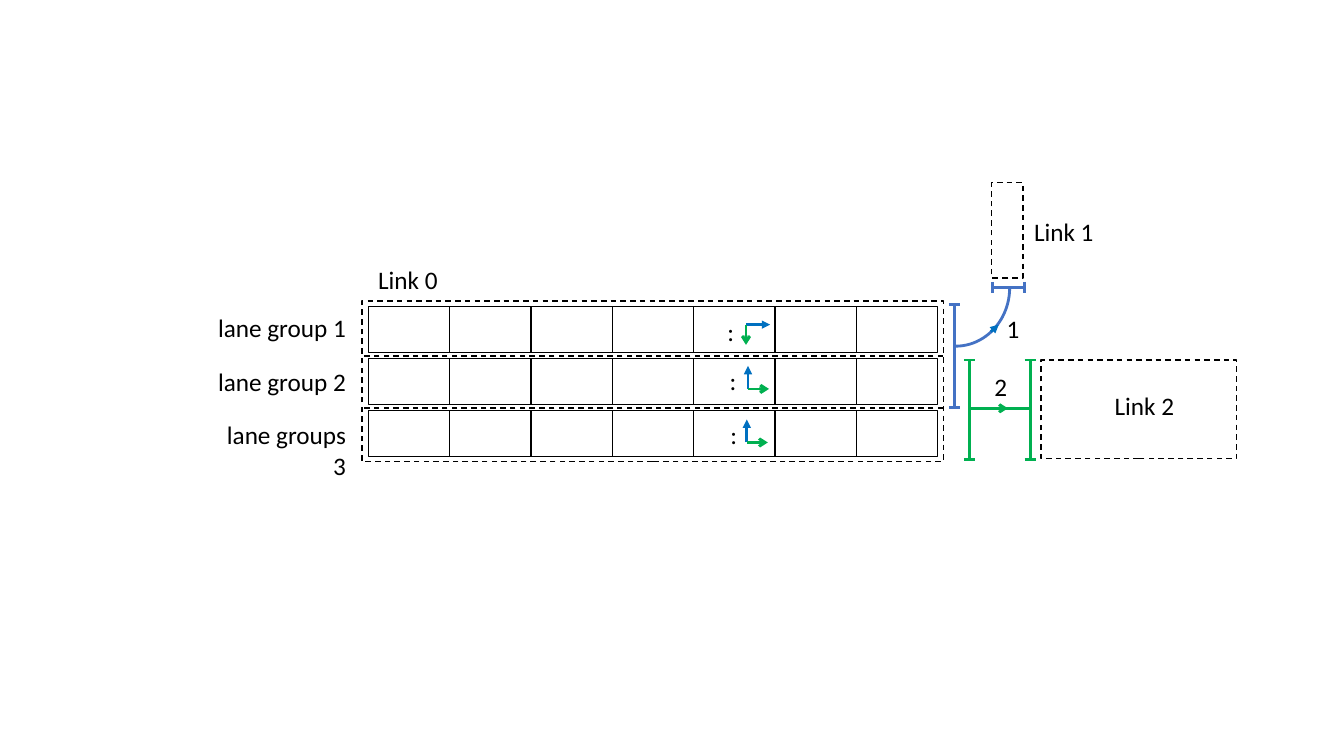
from lxml import etree
from pptx import Presentation
from pptx import util as u
from pptx.dml import color
from pptx.enum import dml, shapes, text
from pptx.oxml import ns

BLACK, BLUE, GREEN, ROAD_BLUE = "000000", "0070C0", "00B050", "4472C4"
DASH = dml.MSO_LINE.DASH
LABEL_FRAME = {"word_wrap": False, "auto_size": text.MSO_AUTO_SIZE.SHAPE_TO_FIT_TEXT}
LABEL_FONT = {"name": "Calibri", "size": u.Pt(18)}

LANE_LEFT, LANE_TOP, CELL_WIDTH, CELL_HEIGHT = 9.28, 7.72, 2.05, 1.17
LANE_PITCH, CELLS = 1.31, 7
LABEL_TOP, LABEL_PITCH = 7.75, 1.35
CAP = 0.14  # half the length of a bracket's end bar


def apply(target, values):
    for name, value in values.items():
        setattr(target, name, value)


def paint(fill, hex_colour):
    """Give a fill or a font's fill a solid colour."""
    fill.solid()
    fill.fore_color.rgb = color.RGBColor.from_string(hex_colour)


def style_line(line, hex_colour, points, dash=None):
    paint(line.fill, hex_colour)
    apply(line, {"width": u.Pt(points), "dash_style": dash})


def add_outline(slide, left, top, width, height, dash=None, colour=BLACK,
                points=1, kind=shapes.MSO_SHAPE.RECTANGLE):
    outline = slide.shapes.add_shape(kind, u.Cm(left), u.Cm(top), u.Cm(width), u.Cm(height))
    outline.shadow.inherit = False
    outline.fill.background()
    style_line(outline.line, colour, points, dash)
    return outline


def add_line(slide, start, end, colour, points=2, dash=None, head=None):
    ends = [u.Cm(value) for value in (*start, *end)]
    line = slide.shapes.add_connector(shapes.MSO_CONNECTOR.STRAIGHT, *ends)
    style_line(line.line, colour, points, dash)
    properties = line._element.spPr
    if head:
        etree.SubElement(properties.find(ns.qn("a:ln")), ns.qn("a:tailEnd"), type=head)
    etree.SubElement(properties, ns.qn("a:effectLst"))


def add_label(slide, wording, left, top, width, align=text.PP_ALIGN.RIGHT):
    label = slide.shapes.add_textbox(u.Cm(left), u.Cm(top), u.Cm(width), u.Cm(1.02))
    apply(label.text_frame, LABEL_FRAME)
    paragraph = label.text_frame.paragraphs[0]
    paragraph.alignment = align
    run = paragraph.add_run()
    run.text = wording
    apply(run.font, LABEL_FONT)
    paint(run.font.fill, BLACK)


def add_bracket(slide, start, end, colour):
    """Draw a straight bar with a short cap across each end."""
    add_line(slide, start, end, colour)
    upright = start[0] == end[0]
    dx, dy = (CAP, 0) if upright else (0, CAP)
    for x, y in (start, end):
        add_line(slide, (x - dx, y - dy), (x + dx, y + dy), colour)


def add_lanes(slide):
    # Dashed borders between lane groups
    for row in range(2):
        y = 8.97 + row * LANE_PITCH
        add_line(slide, (23.77, y), (9.17, y), BLACK, 1, DASH)

    # Cells and names of the lane groups
    for row, name in enumerate(("lane group 1", "lane group 2", "lane groups 3")):
        for cell in range(CELLS):
            add_outline(slide, LANE_LEFT + cell * CELL_WIDTH, LANE_TOP + row * LANE_PITCH,
                        CELL_WIDTH, CELL_HEIGHT)
        add_label(slide, name, 5.06, LABEL_TOP + row * LABEL_PITCH, 3.91)


def add_movements(slide):
    # Colon position, corner of the two arrows, blue tip, green tip
    movements = [
        ((18.08, 7.85), (18.8, 8.18), (19.41, 8.18), (18.8, 8.69)),
        ((18.14, 9.09), (18.85, 9.8), (18.85, 9.22), (19.38, 9.8)),
        ((18.16, 10.44), (18.82, 11.15), (18.82, 10.57), (19.35, 11.15)),
    ]
    for colon, corner, blue_tip, green_tip in movements:
        add_line(slide, corner, blue_tip, BLUE, head="triangle")
        add_line(slide, corner, green_tip, GREEN, head="arrow")
        add_label(slide, ":", *colon, 0.69, text.PP_ALIGN.LEFT)


def add_links(slide):
    for name, outline, label in (
        ("Link 0", (9.12, 7.59, 14.66, 4.04), (9.25, 6.53)),
        ("Link 1", (24.99, 4.6, 0.79, 2.41), (25.78, 5.33)),
        ("Link 2", (26.24, 9.07, 4.93, 2.49), (27.81, 9.7)),
    ):
        add_outline(slide, *outline, dash=DASH)
        add_label(slide, name, *label, 2.03)


def add_road_connections(slide):
    # Road connection 2: straight on to link 2
    for x in (24.43, 25.96):
        add_bracket(slide, (x, 9.07), (x, 11.57), GREEN)
    add_line(slide, (24.43, 10.29), (25.96, 10.29), GREEN)
    add_line(slide, (25.27, 10.29), (25.4, 10.29), GREEN, head="arrow")
    add_label(slide, "2", 24.79, 9.22, 0.84)

    # Road connection 1: curve up to link 1
    curve = add_outline(slide, 22.61, 5.89, 2.95, 2.72, colour=ROAD_BLUE, points=2,
                        kind=shapes.MSO_SHAPE.ARC)
    curve.rotation = 90
    add_bracket(slide, (24.05, 7.67), (24.05, 10.27), ROAD_BLUE)
    add_bracket(slide, (25.02, 7.24), (25.81, 7.24), ROAD_BLUE)
    add_line(slide, (24.97, 8.36), (25.17, 8.18), BLUE, head="triangle")
    add_label(slide, "1", 25.1, 7.77, 0.84)


def main():
    deck = Presentation()
    apply(deck, {"slide_width": u.Cm(33.87), "slide_height": u.Cm(19.05)})
    slide = deck.slides.add_slide(deck.slide_layouts[6])
    add_lanes(slide)
    add_movements(slide)
    add_links(slide)
    add_road_connections(slide)
    deck.save("out.pptx")


if __name__ == "__main__":
    main()
